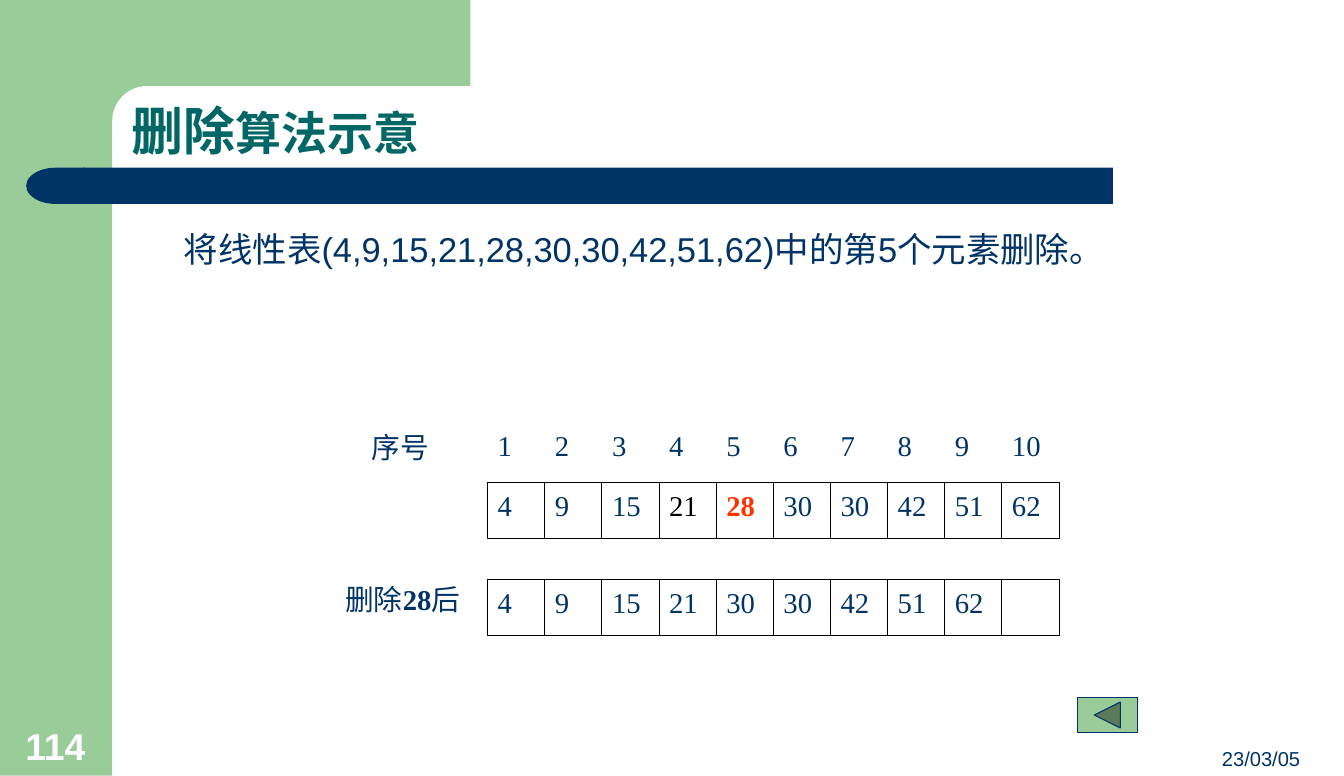
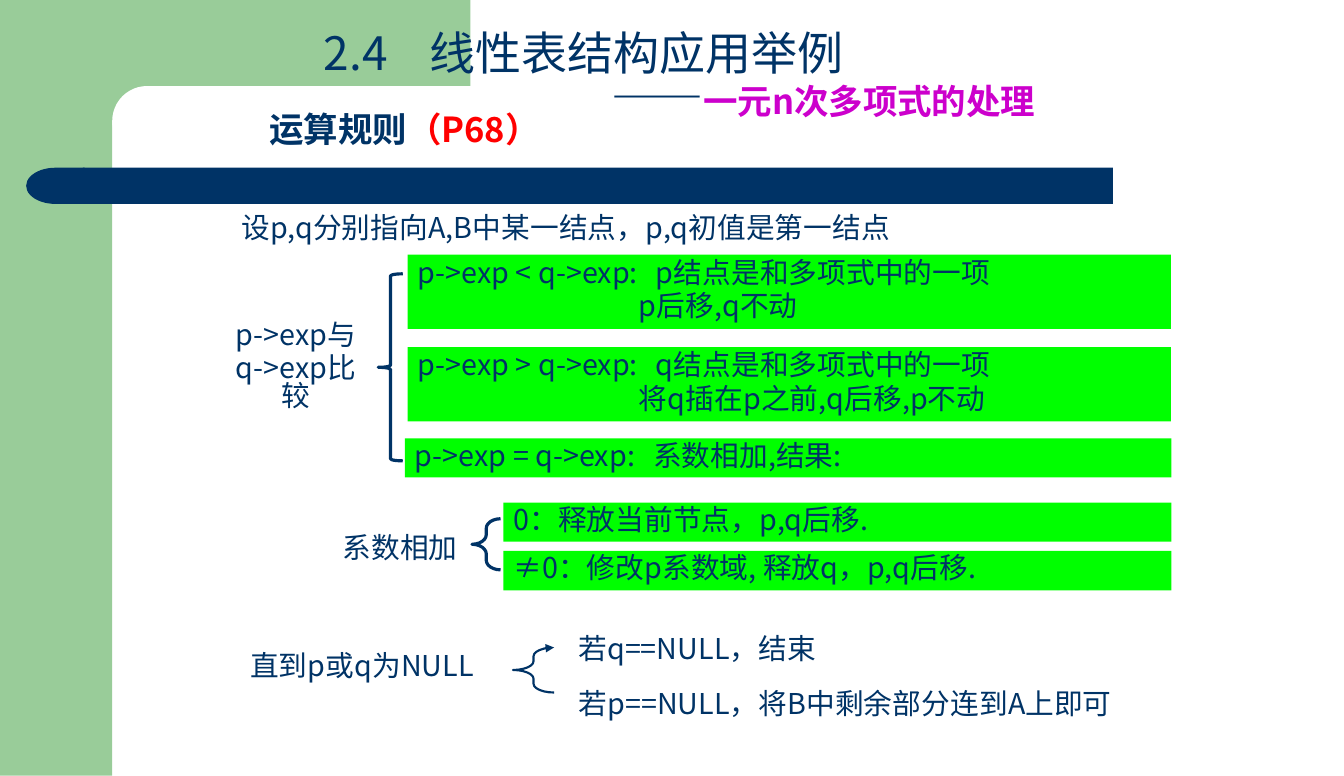
"""Build two slides on deletion from a linear list and on polynomial rules."""
from lxml import etree
from pptx import Presentation
from pptx.dml.color import RGBColor
from pptx.enum.shapes import MSO_SHAPE as Preset
from pptx.enum.text import MSO_ANCHOR as Anchor, PP_ALIGN as Align
from pptx.oxml.ns import qn
from pptx.util import Cm, Pt

COLORS = {
    "navy": "003366", "sage": "99CC99", "teal": "006666", "white": "FFFFFF",
    "black": "000000", "orange": "FF3300", "red": "FF0000",
    "lime": "00FF00", "magenta": "CC00CC",
}
SANS, CJK, SERIF = "Arial", "Noto Sans CJK SC", "Times New Roman"
CELL = 1.42
CELLS_LEFT = 12.12
TIGHT = {"spacing": 0.8}


def color_of(name):
    return RGBColor.from_string(COLORS[name])


def add_block(slide, box, preset=Preset.RECTANGLE, fill=None, line=None, width=0.75):
    shape = slide.shapes.add_shape(preset, *map(Cm, box))
    shape.shadow.inherit = False
    if fill:
        shape.fill.solid()
        shape.fill.fore_color.rgb = color_of(fill)
    else:
        shape.fill.background()
    if line:
        shape.line.color.rgb = color_of(line)
        shape.line.width = Pt(width)
    else:
        shape.line.fill.background()
    return shape


def add_brace(slide, box, bend, width=2.25, arrow=False):
    brace = add_block(slide, box, Preset.LEFT_BRACE, line="navy", width=width)
    brace.adjustments[0] = bend
    if arrow:
        line = brace.line._get_or_add_ln()
        etree.SubElement(line, qn("a:tailEnd"), type="triangle")


def write(shape, text, size=20.25, color="navy", font=CJK, bold=False, join=False,
          align=Align.LEFT, anchor=Anchor.TOP, spacing=None, before=0, indent=0, tab=None):
    frame = shape.text_frame
    frame.word_wrap = True
    if join:
        paragraph = frame.paragraphs[-1]
    else:
        frame.vertical_anchor = anchor
        paragraph = frame.add_paragraph() if frame.text else frame.paragraphs[0]
        paragraph.alignment = align
        properties = paragraph._p.get_or_add_pPr()
        if indent:
            properties.set("marL", str(Cm(indent)))
            properties.set("indent", "0")
        if tab:
            stops = etree.SubElement(properties, qn("a:tabLst"))
            etree.SubElement(stops, qn("a:tab"), pos=str(Cm(tab)), algn="l")
        if spacing:
            paragraph.line_spacing = spacing
        if before:
            paragraph.space_before = Pt(before)
    run = paragraph.add_run()
    run.text = text
    run.font.size = Pt(size)
    run.font.bold = bold
    run.font.color.rgb = color_of(color)
    run.font.name = font
    etree.SubElement(run._r.get_or_add_rPr(), qn("a:ea"), typeface=CJK)


def add_text(slide, box, text, **style):
    shape = slide.shapes.add_textbox(*map(Cm, box))
    write(shape, text, **style)
    return shape


def add_slide(presentation):
    slide = presentation.slides.add_slide(presentation.slide_layouts[6])
    add_block(slide, (0, 0, 2.79, 19.29), fill="sage")
    add_block(slide, (2.51, 0, 9.18, 3), fill="sage")
    corner = add_block(slide, (2.79, 2.14, 18.64, 1.73), Preset.ROUNDED_RECTANGLE, "white")
    corner.adjustments[0] = 0.5
    add_block(slide, (2.06, 4.17, 25.6, 0.9), fill="navy")
    add_block(slide, (0.65, 4.17, 1.45, 0.9), Preset.FLOWCHART_DELAY, "navy").rotation = 180
    return slide


def add_row(slide, top, values, line="black", special=None):
    for position, value in enumerate(values):
        box = (CELLS_LEFT + position * CELL, top, CELL, 1.39)
        cell = add_block(slide, box, fill="white" if line else None, line=line)
        if value:
            write(cell, value, font=SERIF, **(special or {}).get(value, {}))


def add_rule(slide, box, text, detail=None):
    rule = add_block(slide, box, fill="lime")
    write(rule, text, anchor=Anchor.MIDDLE, tab=5.92, **TIGHT)
    if detail:
        write(rule, detail, anchor=Anchor.MIDDLE, indent=5.5, before=4, **TIGHT)


def build_deletion(presentation):
    slide = add_slide(presentation)
    add_text(slide, (25.6, 18.42, 6.96, 0.86), "23/03/05", size=14.2, font=SANS,
             align=Align.RIGHT, anchor=Anchor.BOTTOM)
    add_text(slide, (0.38, 17.84, 2.3, 1.37), "114", size=26.3, font=SANS,
             color="white", bold=True, anchor=Anchor.BOTTOM)
    title = add_text(slide, (3.02, 0.92, 29.24, 3.23), "删除", size=36.5, color="teal",
                     bold=True, anchor=Anchor.BOTTOM, spacing=0.9)
    write(title, "算法示意", size=32.4, color="teal", bold=True, join=True)
    add_text(slide, (4.32, 5.54, 28, 1.5),
             "将线性表(4,9,15,21,28,30,30,42,51,62)中的第5个元素删除。", size=24.3, font=SANS)

    add_text(slide, (8.99, 10.57, 2.18, 1.57), "序号", font=SERIF)
    add_row(slide, 10.52, [str(number) for number in range(1, 11)], line=None)
    add_row(slide, 12.01, "4 9 15 21 28 30 30 42 51 62".split(),
            special={"21": {"color": "black"}, "28": {"color": "orange", "bold": True}})
    add_row(slide, 14.42, "4 9 15 21 30 30 42 51 62".split() + [""])
    label = add_text(slide, (8.33, 14.33, 3.96, 1.52), "删除", font=SERIF)
    write(label, "28", font=SERIF, bold=True, join=True)
    write(label, "后", font=SERIF, join=True)
    add_block(slide, (26.77, 17.35, 1.5, 0.86), Preset.ACTION_BUTTON_BACK_OR_PREVIOUS,
              "sage", "navy")


def build_polynomial(presentation):
    slide = add_slide(presentation)
    middle = {"anchor": Anchor.MIDDLE, **TIGHT}
    centered = {"align": Align.CENTER, **middle}
    title = add_text(slide, (7.8, 0.75, 21.9, 2.51), "2.4\t线性表结构应用举例",
                     size=32.4, tab=2.63, **TIGHT)
    write(title, "——", size=32.4, indent=7.15, **TIGHT)
    write(title, "一元n次多项式的处理", size=24.3, color="magenta", bold=True, join=True)
    heading = add_text(slide, (6.45, 2.75, 11.2, 1.68), "运算规则", size=24.3, bold=True, **TIGHT)
    write(heading, "（P68）", size=24.3, color="red", bold=True, join=True)
    add_text(slide, (5.75, 5.24, 21.87, 0.97),
             "设p,q分别指向A,B中某一结点，p,q初值是第一结点", **middle)

    compare = add_text(slide, (5.33, 8.21, 4.06, 1.85), "p->exp与", **centered)
    write(compare, "q->exp比较", before=4, **centered)
    add_brace(slide, (9.4, 6.81, 0.61, 4.65), 0.083)
    add_rule(slide, (10.13, 6.33, 18.97, 1.85),
             "p->exp < q->exp:\tp结点是和多项式中的一项", "p后移,q不动")
    add_rule(slide, (10.13, 8.63, 18.97, 1.85),
             "p->exp > q->exp:\tq结点是和多项式中的一项", "将q插在p之前,q后移,p不动")
    add_rule(slide, (10.06, 10.9, 19.05, 0.97), "p->exp = q->exp:\t系数相加,结果:")

    add_text(slide, (8.23, 13.18, 3.43, 0.99), "系数相加", **centered)
    add_brace(slide, (11.73, 12.9, 0.71, 1.27), 0.336)
    add_rule(slide, (12.51, 12.5, 16.6, 0.97), "0：释放当前节点，p,q后移.")
    add_rule(slide, (12.51, 13.7, 16.6, 0.98), "≠0：修改p系数域, 释放q，p,q后移.")

    add_text(slide, (5.97, 16.11, 6.1, 0.99), "直到p或q为NULL", **middle)
    add_brace(slide, (12.75, 16.1, 1.02, 1.12), 0.214, width=1.5, arrow=True)
    add_text(slide, (14.08, 15.7, 6.5, 0.99), "若q==NULL，结束", **centered)
    add_text(slide, (13.88, 17.08, 14.25, 0.97),
             "若p==NULL，将B中剩余部分连到A上即可", **centered)


def main():
    presentation = Presentation()
    presentation.slide_width = Cm(33.4)
    presentation.slide_height = Cm(19.295)
    build_deletion(presentation)
    build_polynomial(presentation)
    presentation.save("out.pptx")


if __name__ == "__main__":
    main()
